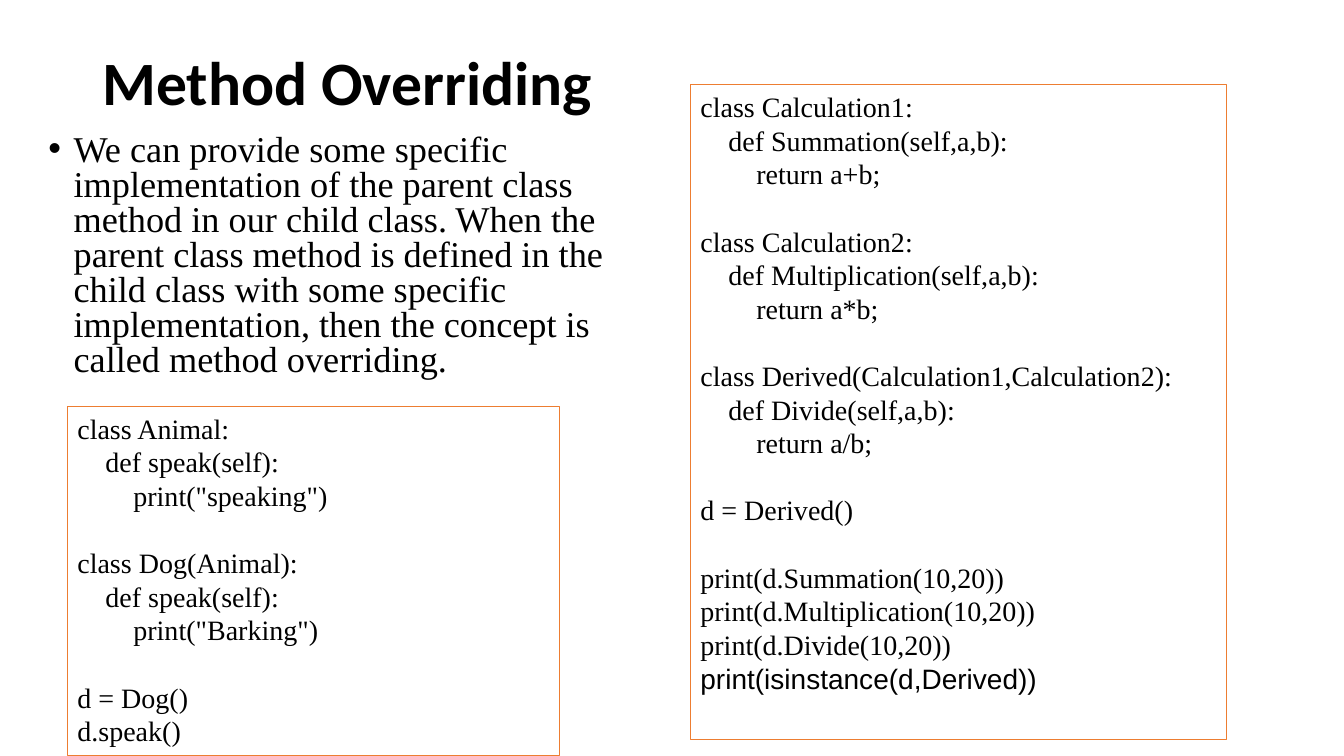
from lxml import etree
from pptx import Presentation
from pptx.dml.color import RGBColor
from pptx.enum.shapes import MSO_SHAPE
from pptx.enum.text import MSO_ANCHOR, MSO_AUTO_SIZE, PP_ALIGN
from pptx.oxml.ns import qn
from pptx.util import Pt

RECTANGLE = MSO_SHAPE.RECTANGLE
TOP, MIDDLE = MSO_ANCHOR.TOP, MSO_ANCHOR.MIDDLE
LEFT = PP_ALIGN.LEFT
NO_AUTOFIT = MSO_AUTO_SIZE.NONE

COLOURS = {"text": "000000", "border": "ED7D31"}
SERIF = "Times New Roman"
CODE_LINE_HEIGHT = 24

DEFINITION = (
    "We can provide some specific implementation of the parent class method "
    "in our child class. When the parent class method is defined in the child "
    "class with some specific implementation, then the concept is called "
    "method overriding."
)

ANIMAL_CODE = """class Animal:
    def speak(self):
        print("speaking")

class Dog(Animal):
    def speak(self):
        print("Barking")

d = Dog()
d.speak()"""

CALCULATION_CODE = """class Calculation1:
    def Summation(self,a,b):
        return a+b;

class Calculation2:
    def Multiplication(self,a,b):
        return a*b;

class Derived(Calculation1,Calculation2):
    def Divide(self,a,b):
        return a/b;

d = Derived()

print(d.Summation(10,20))
print(d.Multiplication(10,20))
print(d.Divide(10,20))
print(isinstance(d,Derived))"""


def write(paragraph, text, size=20, font=SERIF, bold=False, spacing=1.0, before=0):
    paragraph.text = text
    paragraph.alignment = LEFT
    paragraph.line_spacing = spacing
    paragraph.space_before = Pt(before)
    paragraph.space_after = Pt(0)
    paragraph.font.size = Pt(size)
    paragraph.font.name = font
    paragraph.font.bold = bold
    paragraph.font.color.rgb = RGBColor.from_string(COLOURS["text"])


class LessonSlide:
    def __init__(self, presentation):
        self.slide = presentation.slides.add_slide(presentation.slide_layouts[1])

    def place(self, placeholder, left, top, width, height, anchor):
        placeholder.left, placeholder.top = Pt(left), Pt(top)
        placeholder.width, placeholder.height = Pt(width), Pt(height)
        frame = placeholder.text_frame
        frame.word_wrap = True
        frame.auto_size = NO_AUTOFIT
        frame.vertical_anchor = anchor
        return frame.paragraphs[0]

    def title(self, text, *bounds):
        heading = self.place(self.slide.shapes.title, *bounds, MIDDLE)
        write(heading, text, size=44, font="Calibri", bold=True, spacing=0.9)

    def bullet(self, text, *bounds):
        item = self.place(self.slide.placeholders[1], *bounds, TOP)
        properties = item._p.get_or_add_pPr()
        properties.set("marL", str(Pt(18)))
        properties.set("indent", str(-Pt(18)))
        etree.SubElement(properties, qn("a:buFont"), typeface="Arial")
        etree.SubElement(properties, qn("a:buChar"), char="•")
        write(item, text, size=25.9, spacing=0.8)

    def code(self, source, *bounds, line_fonts=None):
        panel = self.slide.shapes.add_shape(RECTANGLE, *map(Pt, bounds))
        panel.shadow.inherit = False
        panel.fill.background()
        panel.line.color.rgb = RGBColor.from_string(COLOURS["border"])
        panel.line.width = Pt(0.75)
        frame = panel.text_frame
        frame.word_wrap = True
        frame.vertical_anchor = TOP
        paragraph, gap = frame.paragraphs[0], 0
        for line in source.splitlines():
            if not line:
                gap = CODE_LINE_HEIGHT
                continue
            if paragraph is None:
                paragraph = frame.add_paragraph()
            font = (line_fonts or {}).get(line, SERIF)
            write(paragraph, line, font=font, before=gap)
            paragraph, gap = None, 0


def main():
    presentation = Presentation()
    presentation.slide_width, presentation.slide_height = Pt(960), Pt(540)
    lesson = LessonSlide(presentation)
    lesson.title("Method Overriding", 66, 28.8, 828, 64)
    lesson.bullet(DEFINITION, 27.4, 92.9, 427, 197.3)
    lesson.code(ANIMAL_CODE, 48.2, 290.2, 351.4, 249.8)
    lesson.code(CALCULATION_CODE, 493.2, 60.5, 383, 468,
                line_fonts={"print(isinstance(d,Derived))": "Arial"})
    presentation.save("out.pptx")


if __name__ == "__main__":
    main()
